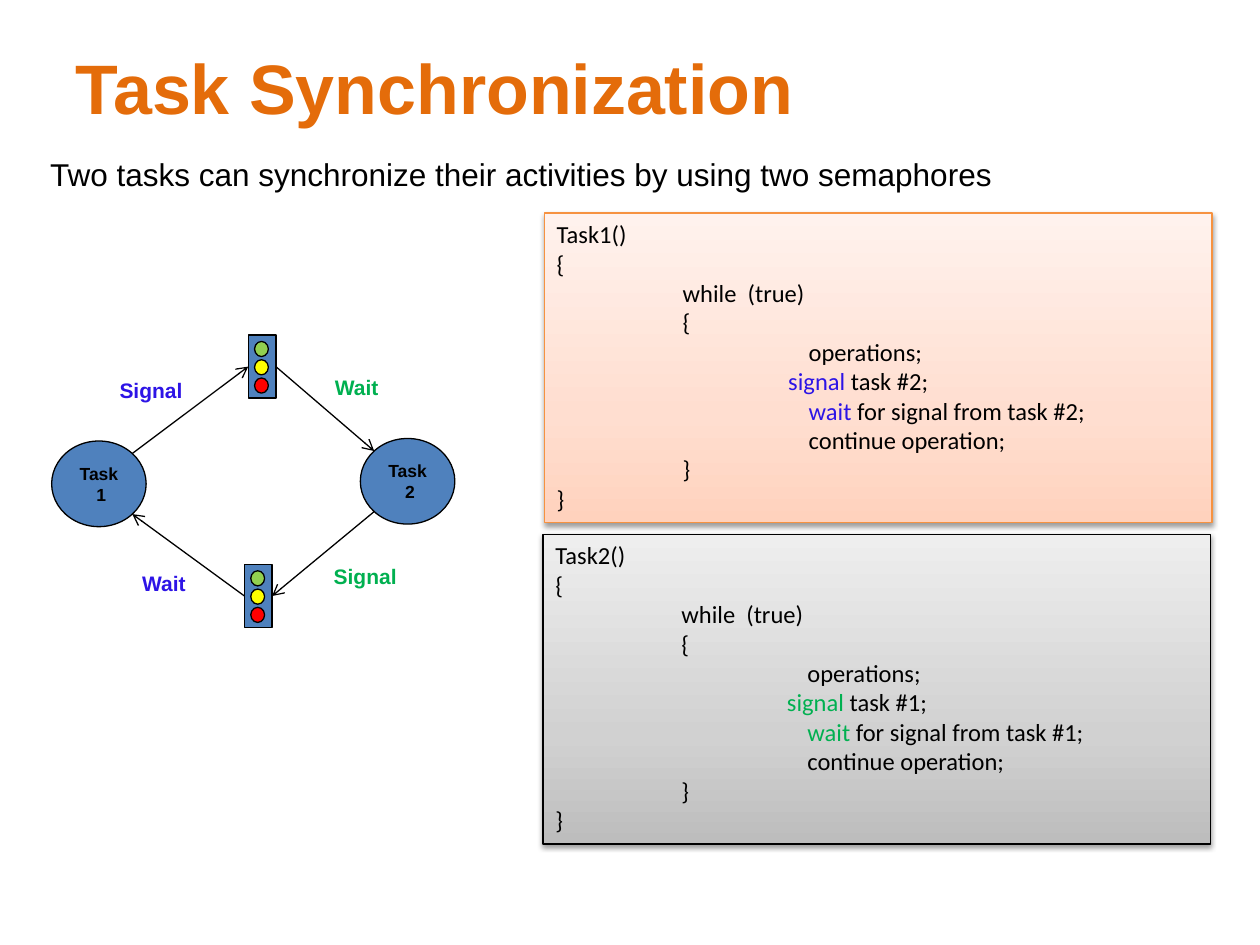
from math import sqrt

from lxml.etree import SubElement
from pptx import Presentation
from pptx.dml.color import RGBColor
from pptx.enum.shapes import MSO_CONNECTOR, MSO_SHAPE as SHAPE
from pptx.enum.text import MSO_ANCHOR as ANCHOR, PP_ALIGN as ALIGN
from pptx.oxml import parse_xml
from pptx.oxml.ns import nsdecls, qn
from pptx.util import Inches, Pt

BLACK = RGBColor(0x00, 0x00, 0x00)
ORANGE = RGBColor(0xE4, 0x6C, 0x0A)
PANEL_ORANGE = RGBColor(0xF6, 0x92, 0x40)
BLUE = RGBColor(0x4F, 0x81, 0xBD)
VIOLET = RGBColor(0x2D, 0x14, 0xE6)
GREEN = RGBColor(0x00, 0xB0, 0x50)
LAMPS = [RGBColor(0x92, 0xD0, 0x50), RGBColor(0xFF, 0xFF, 0x00),
         RGBColor(0xFF, 0x00, 0x00)]

# Content
TITLE = "Task Synchronization"
INTRO = "Two tasks can synchronize their activities by using two semaphores"
TASK_W, TASK_H = 0.75, 0.68
LIGHT_W, LIGHT_H, LAMP_W, LAMP_H, LAMP_STEP = 0.22, 0.5, 0.11, 0.12, 0.145
TASKS = [("Task  1", 0.41, 3.5), ("Task  2", 2.86, 3.48)]
LIGHTS = [(1.97, 2.66), (1.94, 4.48)]
LABELS = [  # text, left, top, width, colour
    ("Signal", 0.85, 2.95, 0.71, VIOLET),
    ("Wait", 2.56, 2.92, 0.55, GREEN),
    ("Signal", 2.55, 4.42, 0.71, GREEN),
    ("Wait", 1.03, 4.48, 0.55, VIOLET),
]
PANEL_W, PANEL_H = 5.3, 2.46
PANELS = [  # own task, other task, left, top, keyword, border, gradient
    (1, 2, 4.32, 1.69, VIOLET, PANEL_ORANGE, ("FFD2BD", "FFDED0", "FFF2ED")),
    (2, 1, 4.31, 4.24, GREEN, BLACK, ("BDBDBD", "D1D1D1", "EEEEEE")),
]


def code_lines(own, other):
    """Each line is (before, keyword, after)."""
    return [
        (f"Task{own}()", "", ""),
        ("{", "", ""),
        ("\twhile  (true)", "", ""),
        ("\t{", "", ""),
        ("\t\toperations;", "", ""),
        ("\t                   ", "signal", f" task #{other};"),
        ("\t\t", "wait", f" for signal from task #{other};"),
        ("\t\tcontinue operation;", "", ""),
        ("\t}", "", ""),
        ("}", "", ""),
    ]


def add_run(p, text, color, **fmt):
    r = p.add_run()
    r.text = text
    for name, value in fmt.items():
        setattr(r.font, name, value)
    r.font.color.rgb = color


def add_box(shapes, kind, x, y, w, h, fill=None, line=BLACK):
    sp = shapes.add_shape(kind, Inches(x), Inches(y), Inches(w), Inches(h))
    sp.shadow.inherit = False
    if fill is not None:
        sp.fill.solid()
        sp.fill.fore_color.rgb = fill
    sp.line.color.rgb = line
    sp.line.width = Pt(0.75)
    return sp


def add_text(x, y, w, h, text, color, wrap=True, **fmt):
    tf = shapes.add_textbox(Inches(x), Inches(y), Inches(w), Inches(h)).text_frame
    tf.word_wrap = wrap
    add_run(tf.paragraphs[0], text, color, name="Arial", **fmt)


def add_light(x, y):
    group = shapes.add_group_shape()
    case = add_box(group.shapes, SHAPE.RECTANGLE, x, y, LIGHT_W, LIGHT_H, BLUE)
    for i, color in enumerate(LAMPS):
        add_box(group.shapes, SHAPE.OVAL, x + 0.05, y + 0.05 + i * LAMP_STEP,
                LAMP_W, LAMP_H, color)
    return case


def task_corner(task, dx, dy):
    """Point on a task's ellipse at 45 degrees, towards (dx, dy)."""
    _, x, y = task
    return (Inches(x + TASK_W / 2 * (1 + dx / sqrt(2))),
            Inches(y + TASK_H / 2 * (1 + dy / sqrt(2))))


def add_arrow(point, light, side, to_light):
    """Join a task's point to a side of a light."""
    c = shapes.add_connector(MSO_CONNECTOR.STRAIGHT, *point, *point)
    (c.end_connect if to_light else c.begin_connect)(light, side)
    c.line.color.rgb = BLACK
    c.line.width = Pt(0.75)
    SubElement(c.line._get_or_add_ln(), qn("a:tailEnd"), type="arrow")
    SubElement(c._element.spPr, qn("a:effectLst"))


def style_panel(sp, colors):
    """Three-stop upward gradient and a soft shadow below."""
    sp.fill.gradient()
    stops = sp._element.spPr.find(qn("a:gradFill"))
    gs = "".join(f'<a:gs pos="{pos}"><a:srgbClr val="{c}"/></a:gs>'
                 for pos, c in zip((0, 35000, 100000), colors))
    stops.getparent().replace(stops, parse_xml(
        f'<a:gradFill {nsdecls("a")} rotWithShape="1"><a:gsLst>{gs}</a:gsLst>'
        '<a:lin ang="16200000" scaled="1"/></a:gradFill>'))
    effects = sp._element.spPr.find(qn("a:effectLst"))
    effects.append(parse_xml(
        f'<a:outerShdw {nsdecls("a")} blurRad="{Pt(3.1)}" dist="{Pt(1.6)}" '
        'dir="5400000" rotWithShape="0"><a:srgbClr val="000000">'
        '<a:alpha val="38000"/></a:srgbClr></a:outerShdw>'))


def add_panel(own, other, x, y, keyword, border, colors):
    sp = add_box(shapes, SHAPE.RECTANGLE, x, y, PANEL_W, PANEL_H, line=border)
    style_panel(sp, colors)
    tf = sp.text_frame
    tf.word_wrap = True
    tf.vertical_anchor = ANCHOR.TOP
    for i, line in enumerate(code_lines(own, other)):
        p = tf.paragraphs[0] if i == 0 else tf.add_paragraph()
        p.alignment = ALIGN.LEFT
        tabs = SubElement(p._p.get_or_add_pPr(), qn("a:tabLst"))
        for inch in (1, 2):
            SubElement(tabs, qn("a:tab"), pos=str(Inches(inch)), algn="l")
        for text, color in zip(line, (BLACK, keyword, BLACK)):
            if text:
                add_run(p, text, color, name="Calibri", size=Pt(14))


prs = Presentation()
prs.slide_width, prs.slide_height = Inches(10), Inches(7.5)
slide = prs.slides.add_slide(prs.slide_layouts[5])
shapes = slide.shapes

# Title and introduction
title = shapes.title
title.left, title.top = Inches(0.5), Inches(0.3)
title.width, title.height = Inches(7.65), Inches(1.25)
tf = title.text_frame
tf.vertical_anchor = ANCHOR.TOP
p = tf.paragraphs[0]
p.alignment = ALIGN.LEFT
add_run(p, TITLE, ORANGE, name="Arial", size=Pt(40), bold=True)
add_text(0.3, 1.18, 9.42, 0.4, INTRO, BLACK, size=Pt(18))

# Tasks and semaphores
for text, x, y in TASKS:
    tf = add_box(shapes, SHAPE.OVAL, x, y, TASK_W, TASK_H, BLUE).text_frame
    tf.word_wrap = True
    tf.vertical_anchor = ANCHOR.MIDDLE
    tf.paragraphs[0].alignment = ALIGN.CENTER
    add_run(tf.paragraphs[0], text, BLACK, name="Arial", size=Pt(10), bold=True)
upper, lower = [add_light(x, y) for x, y in LIGHTS]

# Signal and wait arrows
task1, task2 = TASKS
add_arrow(task_corner(task1, 1, -1), upper, 1, True)
add_arrow(task_corner(task2, -1, -1), upper, 3, False)
add_arrow(task_corner(task2, -1, 1), lower, 3, True)
add_arrow(task_corner(task1, 1, 1), lower, 1, False)
for text, x, y, w, color in LABELS:
    add_text(x, y, w, 0.3, text, color, wrap=False, size=Pt(12), bold=True)

# Code panels
for panel in PANELS:
    add_panel(*panel)

prs.save("out.pptx")
